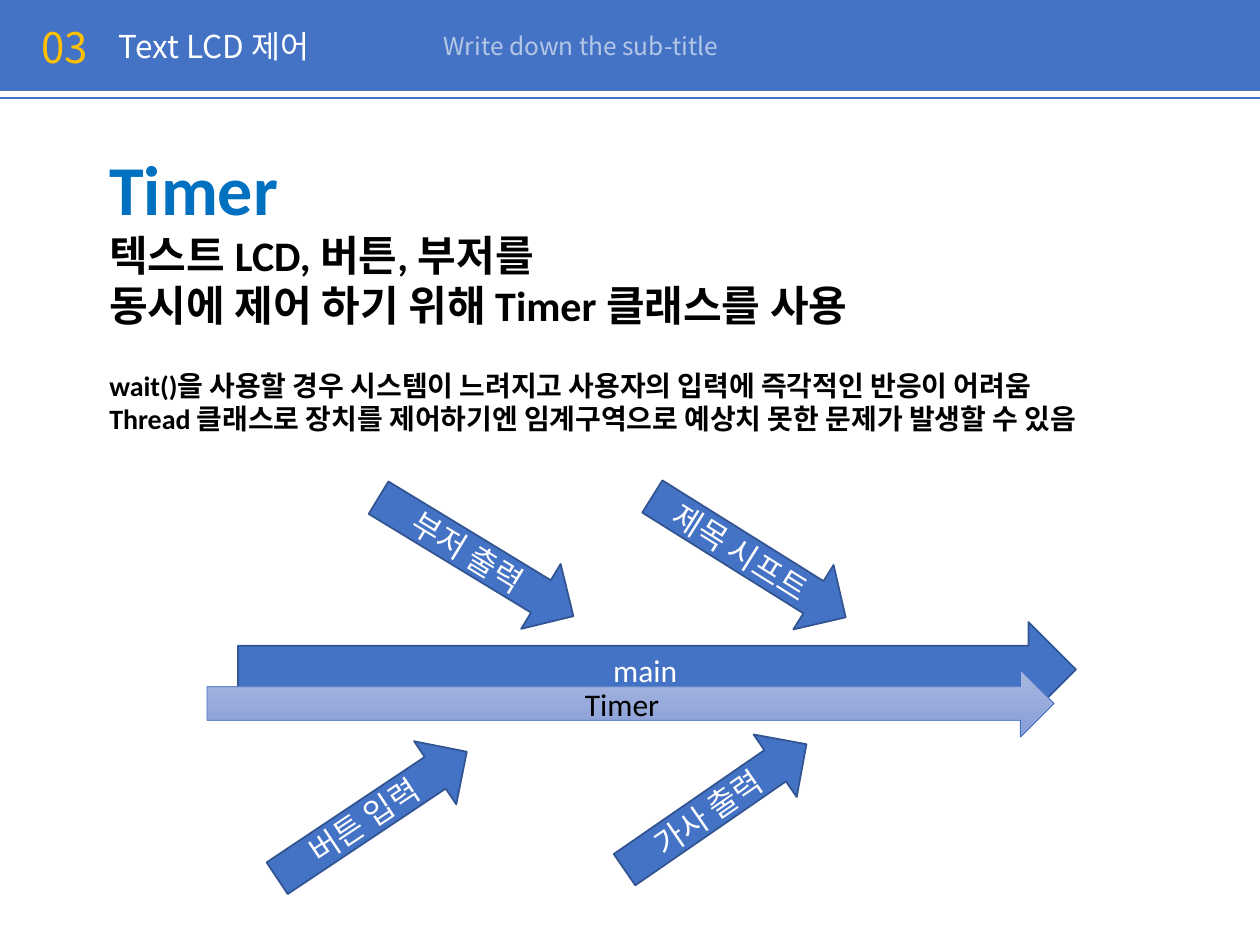
from lxml.etree import SubElement
from pptx import Presentation
from pptx.dml.color import RGBColor
from pptx.enum.shapes import MSO_CONNECTOR, MSO_SHAPE
from pptx.enum.text import MSO_ANCHOR, MSO_AUTO_SIZE, PP_ALIGN
from pptx.oxml.ns import qn
from pptx.util import Emu, Pt

HEX = {"blue": "4472C4", "edge": "325491", "gold": "FFC000", "white": "FFFFFF",
       "pale": "B4C7E7", "sky": "0070C0", "black": "000000",
       "top": "A8B7DF", "base": "889ED7"}
LATIN, KOREAN = "Calibri", "Noto Sans CJK KR"
WIDE, HIGH = 1260, 945

TITLE = ("Text LCD 제어", 18, "white", (106, 21, 224, 50))
LABELS = [
    ("03", 24, "gold", (29, 15, 72, 63)),
    ("Write down the sub-title", 14, "pale", (431, 25, 302, 43)),
]
BODY_BOX = (97, 139, 1071, 305)
BODY = [  # text, size, colour, space before
    ("Timer", 40, "sky", 0),
    ("텍스트 LCD, 버튼, 부저를", 24, "black", 0),
    ("동시에 제어 하기 위해 Timer 클래스를 사용", 24, "black", 0),
    ("wait()을 사용할 경우 시스템이 느려지고 사용자의 입력에 즉각적인 반응이 어려움",
     16, "black", 22),
    ("Thread 클래스로 장치를 제어하기엔 임계구역으로 예상치 못한 문제가 발생할 수 있음",
     16, "black", 0),
]
ARROWS = [  # text, box, turn
    ("main", (238, 622, 838, 95), 0),
    ("버튼 입력", (258, 777, 228, 76), 326.3),
    ("가사 출력", (605, 769, 221, 76), 325.4),
    ("부저 출력", (362, 519, 228, 76), 31.3),
    ("제목 시프트", (635, 519, 228, 76), 32),
]
TIMER = ("Timer", (207, 670, 847, 67))


def px(n):
    return Emu(round(n * 914400 / 126))


def place(box):
    return [px(n) for n in box]


def color(name):
    return RGBColor.from_string(HEX[name])


def style(para, size, tint, face=LATIN, bold=None):
    font = para.font
    font.size, font.bold = Pt(size), bold
    font.color.rgb = color(tint)
    font.name = face
    SubElement(font._element, qn("a:ea"), typeface=KOREAN)


def label(shape, text, size, tint):
    frame = shape.text_frame
    frame.text = text
    frame.word_wrap = False
    frame.auto_size = MSO_AUTO_SIZE.SHAPE_TO_FIT_TEXT
    frame.vertical_anchor = MSO_ANCHOR.TOP
    para = frame.paragraphs[0]
    para.alignment = PP_ALIGN.LEFT
    style(para, size, tint, KOREAN)


def add_arrow(shapes, text, box, tint="white", edge="edge", width=1):
    arrow = shapes.add_shape(MSO_SHAPE.RIGHT_ARROW, *place(box))
    arrow.shadow.inherit = False
    arrow.fill.solid()
    arrow.fill.fore_color.rgb = color("blue")
    arrow.line.color.rgb = color(edge)
    arrow.line.width = Pt(width)
    frame = arrow.text_frame
    frame.text = text
    frame.vertical_anchor = MSO_ANCHOR.MIDDLE
    para = frame.paragraphs[0]
    para.alignment = PP_ALIGN.CENTER
    style(para, 18, tint)
    return arrow


def add_header(shapes):
    rule = shapes.add_connector(MSO_CONNECTOR.STRAIGHT, *place((0, 98, WIDE, 98)))
    rule.line.color.rgb = color("blue")
    rule.line.width = Pt(1.5)
    SubElement(rule._element.spPr, qn("a:effectLst"))

    bar = shapes.add_shape(MSO_SHAPE.RECTANGLE, *place((0, 0, WIDE, 91)))
    bar.shadow.inherit = False
    bar.fill.solid()
    bar.fill.fore_color.rgb = color("blue")
    bar.line.fill.background()

    title = shapes.title
    shapes._spTree.append(title._element)  # bring in front of the bar
    text, size, tint, box = TITLE
    title.left, title.top, title.width, title.height = place(box)
    label(title, text, size, tint)
    for text, size, tint, box in LABELS:
        label(shapes.add_textbox(*place(box)), text, size, tint)


def add_body(shapes):
    frame = shapes.add_textbox(*place(BODY_BOX)).text_frame
    frame.word_wrap = True
    frame.auto_size = MSO_AUTO_SIZE.SHAPE_TO_FIT_TEXT
    frame.text = "\n".join(row[0] for row in BODY)
    for para, (_, size, tint, gap) in zip(frame.paragraphs, BODY):
        para.space_before = Pt(gap)
        style(para, size, tint, bold=True)


def add_flow(shapes):
    for text, box, turn in ARROWS:
        add_arrow(shapes, text, box).rotation = turn
    fill = add_arrow(shapes, *TIMER, "black", "blue", 0.5).fill
    fill.gradient()
    fill.gradient_angle = 270
    for stop, name in zip(fill.gradient_stops, ("top", "base")):
        stop.color.rgb = color(name)


def main():
    deck = Presentation()
    deck.slide_width, deck.slide_height = px(WIDE), px(HIGH)
    shapes = deck.slides.add_slide(deck.slide_layouts[5]).shapes
    add_header(shapes)
    add_body(shapes)
    add_flow(shapes)
    deck.save("out.pptx")


if __name__ == "__main__":
    main()
